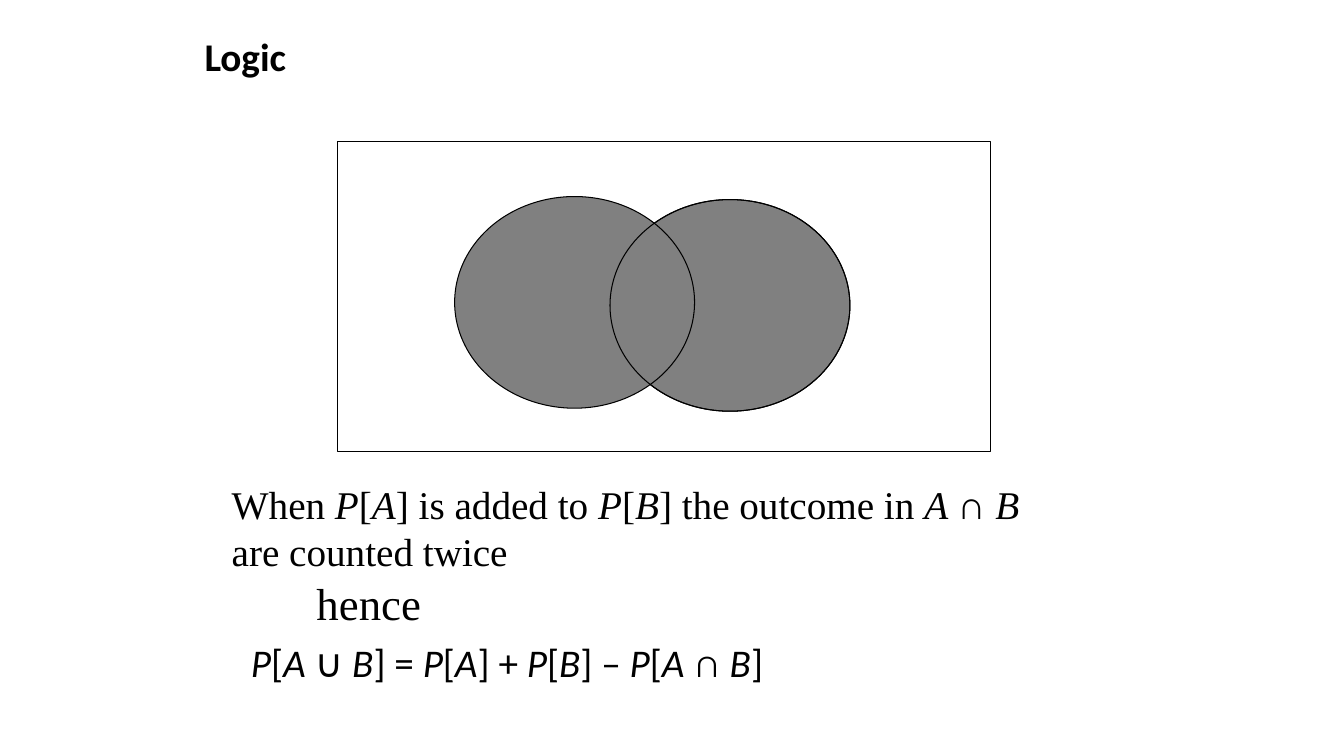
import pptx
import pptx.util
import pptx.dml.color
import pptx.enum.shapes
import pptx.enum.text

BLACK = pptx.dml.color.RGBColor(0x00, 0x00, 0x00)
GRAY = pptx.dml.color.RGBColor(0x80, 0x80, 0x80)
SANS = "Calibri"
SERIF = "Times New Roman"

# Grid: 100 columns by 100 rows over the slide
WIDE = pptx.util.Inches(13.33)
HIGH = pptx.util.Inches(7.5)
COL = WIDE / 100
ROW = HIGH / 100

KINDS = pptx.enum.shapes.MSO_SHAPE
ANCHOR = pptx.enum.text.MSO_ANCHOR


def place(left, top, width, height):
    return [int(n) for n in (left * COL, top * ROW, width * COL, height * ROW)]


def add_text(slide, text, spot, face, size=28, bold=None, lead=None,
             anchor=ANCHOR.TOP):
    """Write one paragraph; parts between asterisks are italic."""
    frame = slide.shapes.add_textbox(*place(*spot)).text_frame
    frame.word_wrap = True
    frame.vertical_anchor = anchor
    para = frame.paragraphs[0]
    if lead:
        para.line_spacing = lead
    font = para.font
    font.name, font.size, font.bold = face, pptx.util.Pt(size), bold
    font.color.rgb = BLACK
    for index, part in enumerate(text.split("*")):
        if part:
            run = para.add_run()
            run.text = part
            run.font.italic = index % 2 == 1


def add_form(group, kind, spot, fill=None):
    form = group.shapes.add_shape(kind, *place(*spot))
    form.shadow.inherit = False
    if fill is None:
        form.fill.background()
    else:
        form.fill.solid()
        form.fill.fore_color.rgb = fill
    form.line.color.rgb = BLACK
    form.line.width = pptx.util.Pt(0.75)


def add_venn(slide):
    group = slide.shapes.add_group_shape()
    set_a = (33.83, 26, 17.85, 28)
    set_b = (45.39, 26.4, 17.85, 28)
    add_form(group, KINDS.RECTANGLE, (25.13, 18.67, 48.54, 41.07))
    add_form(group, KINDS.OVAL, set_b, GRAY)
    add_form(group, KINDS.OVAL, set_a, GRAY)
    # Outline of B again, so that the overlap shows
    add_form(group, KINDS.OVAL, set_b)


def main():
    deck = pptx.Presentation()
    deck.slide_width, deck.slide_height = WIDE, HIGH
    slide = deck.slides.add_slide(deck.slide_layouts[6])

    # Title
    add_text(slide, "Logic", (14.48, 2.93, 59.49, 9.6), SANS,
             bold=True, lead=0.9, anchor=ANCHOR.MIDDLE)

    # Formula
    add_text(slide, "*P*[*A *∪ *B*] = *P*[*A*] + *P*[*B*] – *P*[*A *∩* B*]",
             (17.93, 84.53, 53.86, 9.6), SANS, lead=0.9)

    # Diagram of both sets
    add_venn(slide)

    # Reasoning
    add_text(slide, "When *P*[*A*] is added to *P*[*B*] the outcome in "
             "*A *∩* B *are counted twice",
             (16.5, 64.93, 61.59, 9.6), SERIF, anchor=ANCHOR.MIDDLE)
    add_text(slide, "hence", (22.81, 75.47, 47.79, 9.6), SERIF, size=32)

    deck.save("out.pptx")


if __name__ == "__main__":
    main()
